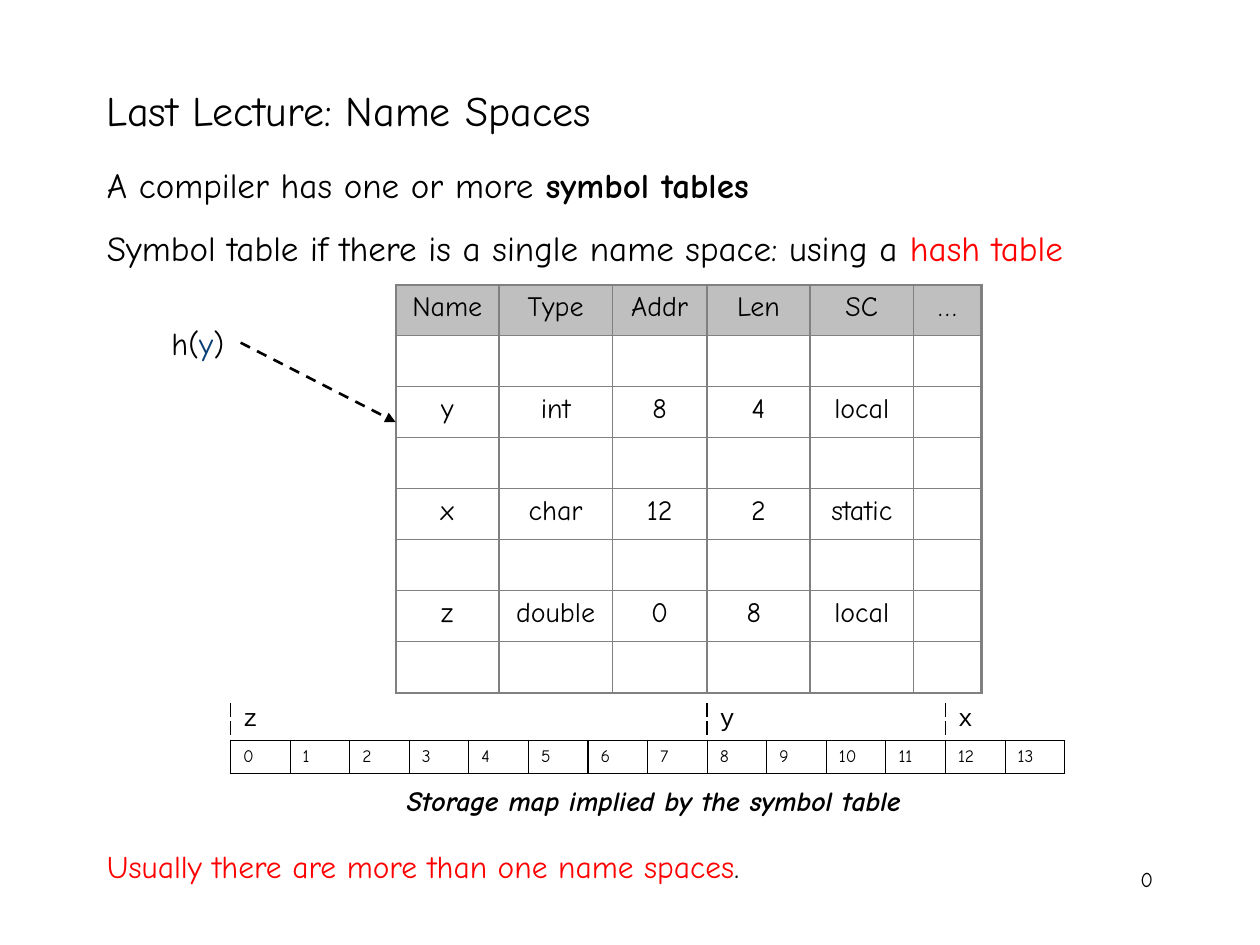
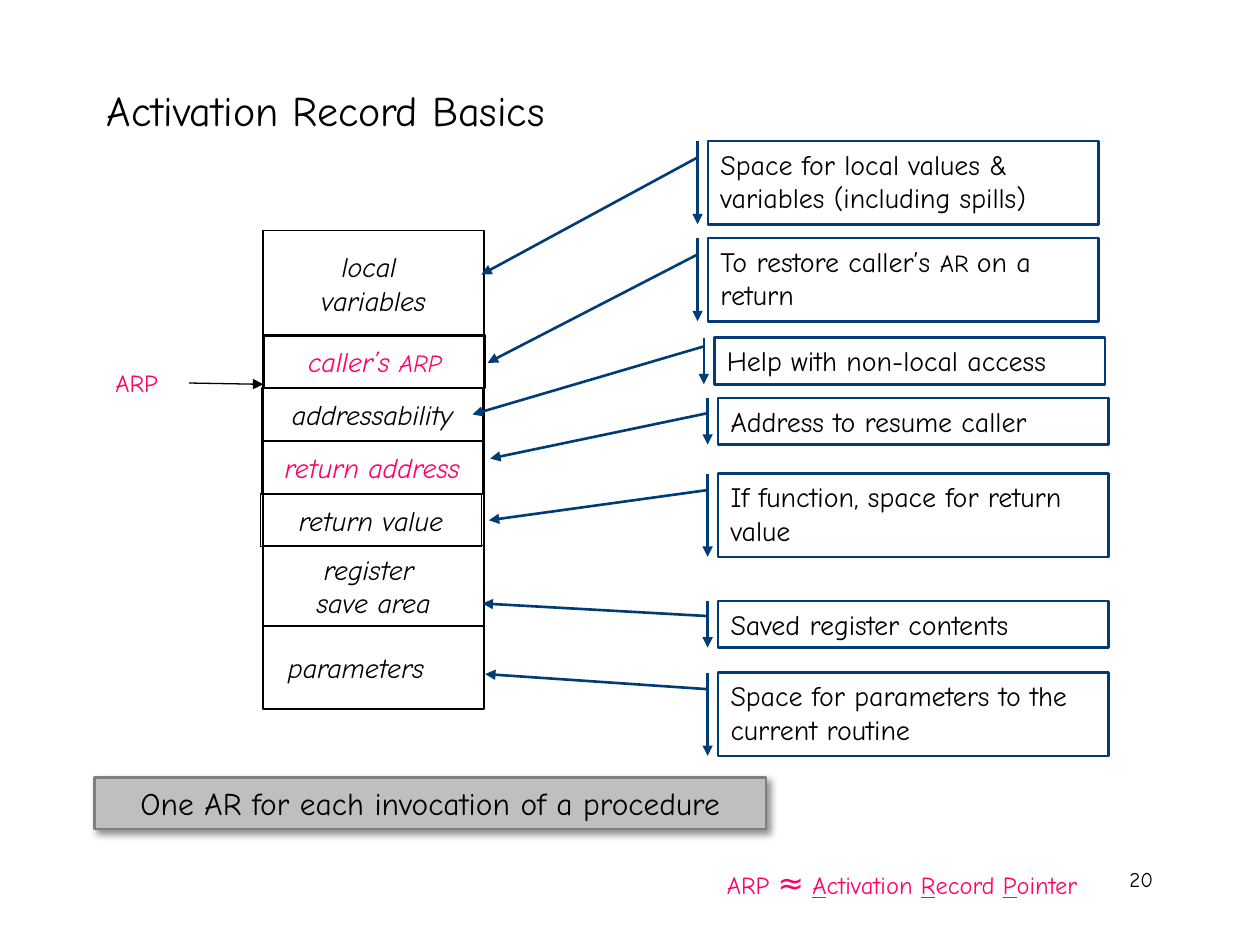
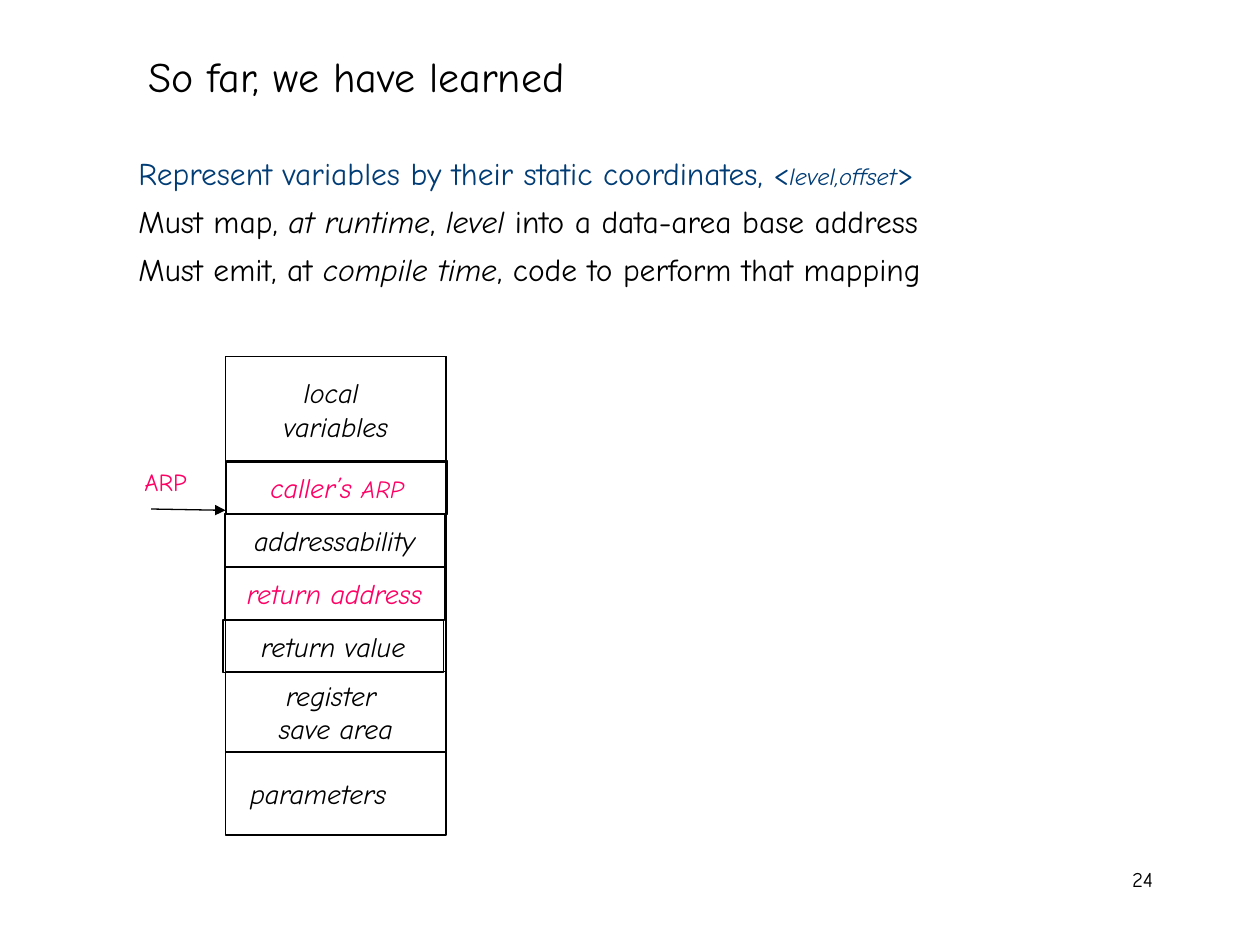
"""Build three lecture slides on name spaces and activation records."""
from lxml import etree
from pptx import Presentation
from pptx import util as u
from pptx.dml.color import RGBColor
from pptx.enum import dml, shapes, text
from pptx.oxml.ns import qn

FONT = "Comic Neue"
MONO = "Courier New"
BLACK = RGBColor(0x00, 0x00, 0x00)
WHITE = RGBColor(0xFF, 0xFF, 0xFF)
RED = RGBColor(0xFF, 0x00, 0x00)
PINK = RGBColor(0xFF, 0x00, 0x65)
NAVY = RGBColor(0x00, 0x3C, 0x75)
KEY_BLUE = RGBColor(0x07, 0x3E, 0x74)
SILVER = RGBColor(0xBF, 0xBF, 0xBF)
BANNER_EDGE = RGBColor(0x7F, 0x7F, 0x7F)
GRID = RGBColor(0x80, 0x80, 0x80)

LEFT, CENTER, RIGHT = text.PP_ALIGN.LEFT, text.PP_ALIGN.CENTER, text.PP_ALIGN.RIGHT
TOP, MIDDLE, BOTTOM = (text.MSO_ANCHOR.TOP, text.MSO_ANCHOR.MIDDLE,
                       text.MSO_ANCHOR.BOTTOM)

SYMBOLS = [
    ["Name", "Type", "Addr", "Len", "SC", "…"],
    [],
    ["y", "int", "8", "4", "local"],
    [],
    ["x", "char", "12", "2", "static"],
    [],
    ["z", "double", "0", "8 ", "local"],
    [],
]
SYMBOL_WIDTHS = [0.82, 0.9, 0.75, 0.82, 0.82, 0.54]
STORAGE = [("z", 0, 8), ("y", 8, 4), ("x", 12, 2)]

RECORD_FIELDS = [
    (0, 2.5, 0.64, BLACK, [["register "], ["save area"]]),
    (-0.02, 2.09, 0.42, BLACK, [["return value"]]),
    (-0.01, 1.67, 0.42, PINK, [["return address"]]),
    (-0.01, 1.25, 0.42, BLACK, [["addressability"]]),
    (0.01, 0.83, 0.42, PINK, [["caller’s ", ("ARP", {"size": 14})]]),
    (0, 0, 0.84, BLACK, [["local "], ["variables"]]),
]

CALLOUTS = [
    (5.7, 5.34, 0.66, 0.13, (3.85, 5.35),
     [["Space for parameters to the current routine"]]),
    (5.7, 4.77, 0.37, 0.12, (3.83, 4.79), [["Saved register contents"]]),
    (5.7, 3.76, 0.66, 0.13, (3.88, 4.13),
     [["If function, space for return value"]]),
    (5.7, 3.16, 0.37, 0.12, (3.89, 3.64), [["Address to resume caller"]]),
    (5.67, 2.68, 0.37, 0.07, (3.75, 3.29), [["Help with non-local access"]]),
    (5.62, 1.89, 0.66, 0.13, (3.87, 2.88),
     [["To restore caller’s ", ("AR ", {"size": 14}), "on a"], ["return"]]),
    (5.62, 1.12, 0.66, 0.13, (3.82, 2.18),
     [["Space for local values & variables (including spills)"]]),
]


def box(left, top, width, height):
    """Return a rectangle in inches as lengths."""
    return [u.Inches(v) for v in (left, top, width, height)]


def add_run(p, content, size, color, bold=False, italic=False,
            underline=False, font=FONT):
    """Append one formatted run to a paragraph."""
    r = p.add_run()
    r.text = content
    r.font.name, r.font.size = font, u.Pt(size)
    r.font.bold, r.font.italic, r.font.underline = bold, italic, underline
    r.font.color.rgb = color


def write(tf, paragraphs, size=16, color=BLACK, align=LEFT, gap=0,
          line_spacing=None, **style):
    """Fill a text frame; a run is a string or a (string, overrides) pair."""
    for i, runs in enumerate(paragraphs):
        p = tf.add_paragraph() if i else tf.paragraphs[0]
        p.alignment = align
        if i and gap:
            p.space_before = u.Pt(gap)
        if line_spacing:
            p.line_spacing = u.Pt(line_spacing)
        for run in runs:
            content, changes = (run, {}) if isinstance(run, str) else run
            add_run(p, content, **{"size": size, "color": color,
                                   **style, **changes})


def add_text(s, at, paragraphs, anchor=TOP, wrap=True, **style):
    """Add a text box."""
    sp = s.shapes.add_textbox(*box(*at))
    sp.text_frame.word_wrap = wrap
    sp.text_frame.vertical_anchor = anchor
    write(sp.text_frame, paragraphs, **style)
    return sp


def add_box(s, at, paragraphs=(), line=BLACK, width=0.75, fill=None,
            kind=shapes.MSO_SHAPE.RECTANGLE, anchor=MIDDLE, wrap=True, **style):
    """Add an outlined preset shape with optional text."""
    sp = s.shapes.add_shape(kind, *box(*at))
    sp.shadow.inherit = False
    if fill is None:
        sp.fill.background()
    else:
        sp.fill.solid()
        sp.fill.fore_color.rgb = fill
    sp.line.color.rgb, sp.line.width = line, u.Pt(width)
    sp.text_frame.word_wrap = wrap
    sp.text_frame.vertical_anchor = anchor
    write(sp.text_frame, paragraphs, **style)
    return sp


def add_arrowhead(sp):
    """Put a triangle at the end of a shape's line."""
    ln = sp._element.spPr.find(qn("a:ln"))
    etree.SubElement(ln, qn("a:tailEnd"), type="triangle")


def add_arrow(s, start, end, width=0.75, dash=None, source=None):
    """Add a straight arrow, joined to the right side of source if given."""
    c = s.shapes.add_connector(shapes.MSO_CONNECTOR.STRAIGHT,
                               *[u.Inches(v) for v in (*start, *end)])
    if source is not None:
        c.begin_connect(source, 3)
    c.line.color.rgb, c.line.width = BLACK, u.Pt(width)
    if dash:
        c.line.dash_style = dash
    add_arrowhead(c)
    etree.SubElement(c._element.spPr, qn("a:effectLst"))


def add_drop_shadow(sp):
    """Give a shape a soft shadow to the lower right."""
    effects = sp._element.spPr.find(qn("a:effectLst"))
    shadow = etree.SubElement(
        effects, qn("a:outerShdw"), blurRad=str(u.Pt(4)), dist=str(u.Pt(3)),
        dir="2700000", algn="tl", rotWithShape="0")
    color = etree.SubElement(shadow, qn("a:srgbClr"), val=str(BLACK))
    etree.SubElement(color, qn("a:alpha"), val="43000")


def style_cell(cell, borders, fill=None):
    """Set left, right, top and bottom borders, then the cell's fill."""
    tc_pr = cell._tc.get_or_add_tcPr()
    for side, border in zip("LRTB", borders):
        color, width, dash = border or (BLACK, 0, "solid")
        ln = etree.SubElement(tc_pr, qn("a:ln" + side), w=str(u.Pt(width)))
        if border is None:
            etree.SubElement(ln, qn("a:noFill"))
            continue
        solid = etree.SubElement(ln, qn("a:solidFill"))
        etree.SubElement(solid, qn("a:srgbClr"), val=str(color))
        etree.SubElement(ln, qn("a:prstDash"), val=dash)
    if fill is None:
        cell.fill.background()
    else:
        cell.fill.solid()
        cell.fill.fore_color.rgb = fill


def add_table(s, rows, cols, at):
    """Add a table without banding."""
    tbl = s.shapes.add_table(rows, cols, *box(*at)).table
    tbl.first_row = tbl.horz_banding = False
    return tbl


def add_symbol_table(s):
    """Add the hash table of symbols with a heavier outer frame."""
    rows, cols = len(SYMBOLS), len(SYMBOL_WIDTHS)
    tbl = add_table(s, rows, cols, (3.14, 2.26, 4.65, 3.24))
    for col, width in zip(tbl.columns, SYMBOL_WIDTHS):
        col.width = u.Inches(width)
    for i, row in enumerate(SYMBOLS):
        for j in range(cols):
            outer = (j == 0, j == cols - 1, i == 0, i == rows - 1)
            borders = [(GRID, 1.5 if edge else 1, "solid") for edge in outer]
            cell = tbl.cell(i, j)
            style_cell(cell, borders, SILVER if i == 0 else None)
            if j < len(row):
                write(cell.text_frame, [[row[j]]], align=CENTER)


def add_storage_map(s):
    """Add the byte map with variable names above and a caption below."""
    count = sum(size for _, _, size in STORAGE)
    tbl = add_table(s, 3, count, (1.83, 5.58, 6.62, 0.88))
    for row, height in zip(tbl.rows, (0.21, 0.26, 0.41)):
        row.height = u.Inches(height)
    solid, dashed = (BLACK, 0.75, "solid"), (BLACK, 1, "sysDash")
    for name, start, size in STORAGE:
        end = start + size
        for j in range(start, end):
            right = dashed if end < count else None
            style_cell(tbl.cell(0, j), (dashed, right, None, solid), WHITE)
        tbl.cell(0, start).merge(tbl.cell(0, end - 1))
        write(tbl.cell(0, start).text_frame, [[name]], size=14, font=MONO,
              line_spacing=14)
    for j in range(count):
        byte, below = tbl.cell(1, j), tbl.cell(2, j)
        style_cell(byte, [solid] * 4, WHITE)
        style_cell(below, (None, None, solid, None), WHITE)
        for cell in (byte, below):
            cell.margin_top, cell.margin_right = u.Inches(0.02), 0
        write(byte.text_frame, [[str(j)]], size=10, line_spacing=14)
    caption = tbl.cell(2, 0)
    caption.merge(tbl.cell(2, count - 1))
    caption.vertical_anchor = BOTTOM
    write(caption.text_frame, [["Storage map implied by the symbol table"]],
          align=CENTER, line_spacing=14, bold=True, italic=True)


def add_record(s, left, top, label_at):
    """Add the activation record stack with its pointer."""
    label = {"wrap": False, "align": CENTER, "italic": True}
    add_box(s, (left, top, 1.75, 3.8), width=1)
    add_text(s, (left - 0.14, top + 3.16, 1.75, 0.61), [["parameters"]],
             anchor=MIDDLE, **label)
    for dx, dy, height, color, lines in RECORD_FIELDS:
        add_box(s, (left + dx, top + dy, 1.75, height), lines,
                color=color, **label)
    add_text(s, (*label_at, 0.67, 0.33), [["ARP"]], size=14, color=PINK,
             align=CENTER)
    add_arrow(s, (left - 0.59, top + 1.21), (left, top + 1.22))


def add_callout(s, left, top, height, start, target, lines):
    """Add a note whose line leaves its accent bar and points at target."""
    width = 3.1
    sp = add_box(s, (left, top, width, height), lines, line=NAVY, width=1.5,
                 kind=shapes.MSO_SHAPE.LINE_CALLOUT_1_BORDER_AND_ACCENT_BAR,
                 anchor=TOP)
    x, y = target
    ends = (start / height, -0.027, (y - top) / height, (x - left) / width)
    for i, value in enumerate(ends):
        sp.adjustments[i] = value
    add_arrowhead(sp)


def new_slide(prs, title, number, title_at=(0.75, 0.58)):
    """Add a blank slide with its title and slide number."""
    s = prs.slides.add_slide(prs.slide_layouts[6])
    add_text(s, (7.17, 6.83, 2.08, 0.5), [[number]], size=12, align=RIGHT)
    add_text(s, (*title_at, 8.5, 0.58), [[title]], size=24, anchor=MIDDLE)
    return s


def build_name_spaces(prs):
    """Build the slide on symbol tables."""
    s = new_slide(prs, "Last Lecture: Name Spaces", "0")
    add_text(s, (0.75, 1.25, 8.5, 0.95), [
        ["A compiler has one or more ", ("symbol tables", {"bold": True})],
        ["Symbol table if there is a single name space: using a ",
         ("hash table", {"color": RED})],
    ], size=20, gap=12)
    add_symbol_table(s)
    add_storage_map(s)
    key = add_text(s, (1.23, 2.51, 0.68, 0.42),
                   [["h(", ("y", {"color": KEY_BLUE}), ")"]],
                   size=18, align=CENTER, anchor=MIDDLE)
    add_arrow(s, (1.91, 2.72), (3.14, 3.35), width=1.5,
              dash=dml.MSO_LINE.DASH, source=key)
    add_text(s, (0.75, 6.67, 7.04, 0.4),
             [["Usually there are more than one name spaces",
               (".", {"color": BLACK})]], size=18, color=RED)


def build_record_basics(prs):
    """Build the slide that explains each field of the record."""
    s = new_slide(prs, "Activation Record Basics", "20")
    add_record(s, 2.09, 1.83, (0.75, 2.87))
    for callout in CALLOUTS:
        add_callout(s, *callout)
    banner = add_box(s, (0.75, 6.17, 5.33, 0.41),
                     [["One AR for each invocation of a procedure"]],
                     line=BANNER_EDGE, width=1.5, fill=SILVER, size=18,
                     align=CENTER)
    add_drop_shadow(banner)
    initial = {"underline": True}
    add_text(s, (5.67, 6.8, 3.33, 0.4), [[
        "ARP ", ("≈", {"size": 18}), " ", ("A", initial), "ctivation ",
        ("R", initial), "ecord ", ("P", initial), "ointer",
    ]], size=14, color=PINK)


def build_summary(prs):
    """Build the slide that sums up static coordinates."""
    s = new_slide(prs, "So far, we have learned", "24", (1.08, 0.31))
    add_record(s, 1.79, 2.83, (0.98, 3.66))
    blue, italic = {"color": NAVY}, {"italic": True}
    add_text(s, (1, 1.17, 8.25, 1.18), [
        [("Represent variables by their static coordinates, <", blue),
         ("level,offset", {"size": 14, **blue, **italic}), (">", blue)],
        ["Must map, ", ("at runtime", italic), ", ", ("level", italic),
         " into a data-area base address"],
        ["Must emit, at ", ("compile time", italic),
         ", code to perform that mapping"],
    ], size=18, gap=6)


def main():
    """Create the presentation and save it."""
    prs = Presentation()
    prs.slide_width, prs.slide_height = u.Inches(10), u.Inches(7.5)
    build_name_spaces(prs)
    build_record_basics(prs)
    build_summary(prs)
    prs.save("out.pptx")


if __name__ == "__main__":
    main()
